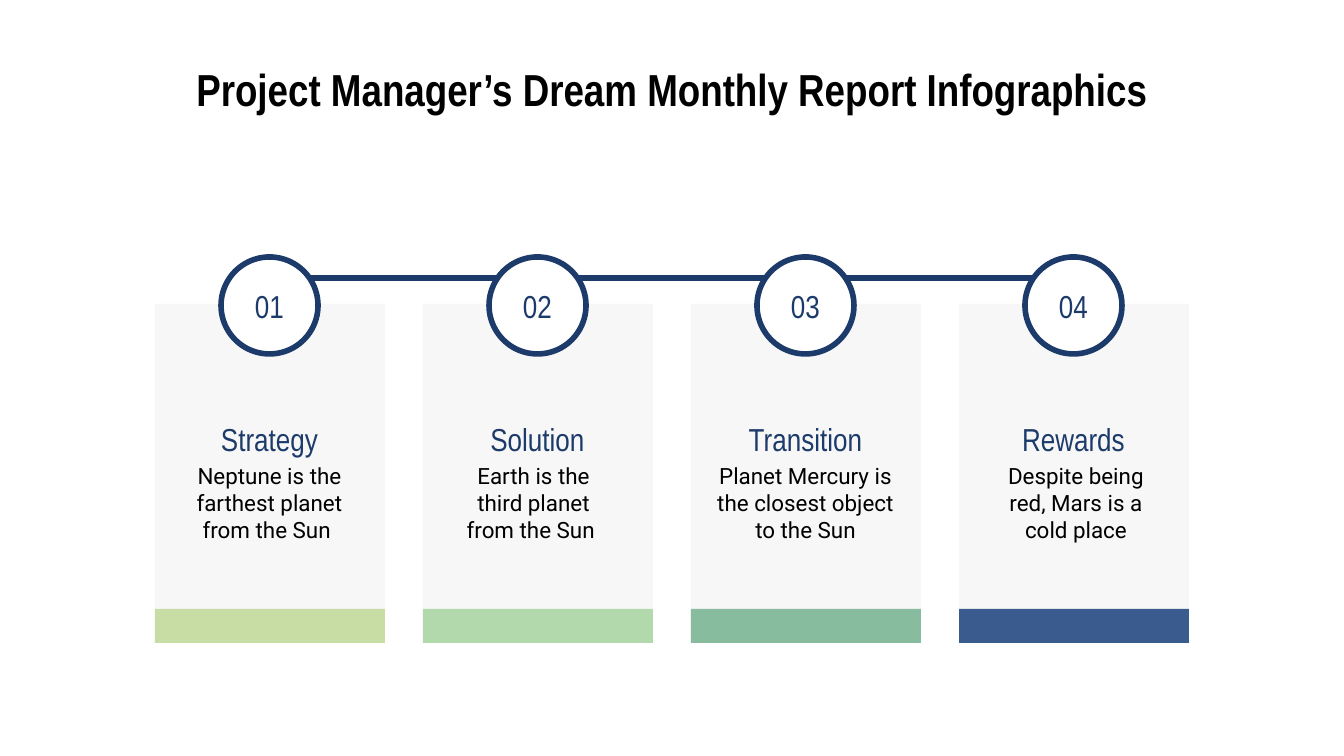
from dataclasses import dataclass

from lxml import etree
from pptx import Presentation
from pptx import util as u
from pptx.dml.color import RGBColor
from pptx.enum import shapes, text
from pptx.oxml import ns

SCALE = 914400 * 10 / 1344


def px(length):
    return u.Emu(round(length * SCALE))


@dataclass(frozen=True)
class Theme:
    black: str = "000000"
    white: str = "FFFFFF"
    navy: str = "1C3B6A"
    card: str = "F7F7F7"
    heading_font: str = "Arial Narrow"
    body_font: str = "Roboto"
    title_size: int = 24
    heading_size: int = 17
    body_size: int = 12
    stroke: int = 3
    inset: int = 13


class Painter:
    """Holds the theme and the current slide."""

    def __init__(self, page, theme):
        self.page = page
        self.theme = theme

    def set_text(self, shape, words, font, size, color, bold=False, indents=(0, 0)):
        """Fill a shape with one centred paragraph; indents are left and right."""
        frame = shape.text_frame
        frame.word_wrap = True
        frame.auto_size = text.MSO_AUTO_SIZE.NONE
        frame.vertical_anchor = text.MSO_ANCHOR.MIDDLE
        frame.margin_left = frame.margin_right = px(self.theme.inset)
        frame.margin_top = frame.margin_bottom = px(self.theme.inset)
        frame.text = words
        para = frame.paragraphs[0]
        para.alignment = text.PP_ALIGN.CENTER
        para.font.name = font
        para.font.size = u.Pt(size)
        para.font.bold = bold
        para.font.color.rgb = RGBColor.from_string(color)
        for side, indent in zip(("marL", "marR"), indents):
            if indent:
                para._p.get_or_add_pPr().set(side, str(px(indent)))

    def title(self, words, left, top, width, height):
        box = self.page.shapes.title
        box.left, box.top, box.width, box.height = map(px, (left, top, width, height))
        theme = self.theme
        self.set_text(box, words, theme.heading_font, theme.title_size, theme.black, bold=True)

    def line(self, x1, y1, x2, y2):
        line = self.page.shapes.add_connector(
            shapes.MSO_CONNECTOR.STRAIGHT, px(x1), px(y1), px(x2), px(y2))
        line.line.color.rgb = RGBColor.from_string(self.theme.navy)
        line.line.width = u.Pt(self.theme.stroke)
        etree.SubElement(line._element.spPr, ns.qn("a:effectLst"))

    def shape(self, kind, left, top, width, height, fill):
        shape = self.page.shapes.add_shape(kind, px(left), px(top), px(width), px(height))
        shape.shadow.inherit = False
        shape.fill.solid()
        shape.fill.fore_color.rgb = RGBColor.from_string(fill)
        shape.line.fill.background()
        return shape

    def rectangle(self, left, top, width, height, fill):
        self.shape(shapes.MSO_SHAPE.RECTANGLE, left, top, width, height, fill)

    def badge(self, words, left, top, size):
        theme = self.theme
        circle = self.shape(shapes.MSO_SHAPE.OVAL, left, top, size, size, theme.white)
        circle.line.color.rgb = RGBColor.from_string(theme.navy)
        circle.line.width = u.Pt(theme.stroke)
        self.set_text(circle, words, theme.heading_font, theme.heading_size, theme.navy)

    def textbox(self, left, top, width, height):
        return self.page.shapes.add_textbox(px(left), px(top), px(width), px(height))

    def heading(self, words, left, top, width, height):
        theme = self.theme
        box = self.textbox(left, top, width, height)
        self.set_text(box, words, theme.heading_font, theme.heading_size, theme.navy)

    def body(self, words, left, top, width, height, indents):
        theme = self.theme
        box = self.textbox(left, top, width, height)
        self.set_text(box, words, theme.body_font, theme.body_size, theme.black, indents=indents)


# heading, description, bar colour, left and right text indents
STEPS = [
    ("Strategy", "Neptune is the farthest planet from the Sun ", "C8DDA4", (0, 0)),
    ("Solution", "Earth is the third planet from the Sun ", "B2D9AB", (13, 21)),
    ("Transition", "Planet Mercury is the closest object to the Sun", "87BC9E", (0, 0)),
    ("Rewards", "Despite being red, Mars is a cold place", "395B8E", (13, 8)),
]
FIRST_LEFT, PITCH = 155, 268
CARD_TOP, CARD_WIDTH, CARD_HEIGHT, BAR_HEIGHT = 304, 230, 339, 34
BADGE_TOP, BADGE_SIZE = 257, 97
TEXT_WIDTH = 219


def main():
    deck = Presentation()
    deck.slide_width, deck.slide_height = px(1344), px(756)
    page = deck.slides.add_slide(deck.slide_layouts[5])
    painter = Painter(page, Theme())

    painter.title("Project Manager’s Dream Monthly Report Infographics", 26, 46, 1292, 85)
    first_center = FIRST_LEFT + CARD_WIDTH // 2
    last_center = first_center + PITCH * (len(STEPS) - 1)
    painter.line(first_center, 278, last_center, 278)

    for index, (heading, description, color, indents) in enumerate(STEPS):
        left = FIRST_LEFT + index * PITCH
        badge_left = left + (CARD_WIDTH - BADGE_SIZE) // 2
        text_left = left + (CARD_WIDTH - TEXT_WIDTH) // 2
        bar_top = CARD_TOP + CARD_HEIGHT - BAR_HEIGHT
        painter.rectangle(left, CARD_TOP, CARD_WIDTH, CARD_HEIGHT, painter.theme.card)
        painter.rectangle(left, bar_top, CARD_WIDTH, BAR_HEIGHT, color)
        painter.badge(f"{index + 1:02}", badge_left, BADGE_TOP, BADGE_SIZE)
        painter.heading(heading, text_left, 407, TEXT_WIDTH, 63)
        painter.body(description, text_left, 464, TEXT_WIDTH, 78, indents)

    deck.save("out.pptx")


if __name__ == "__main__":
    main()
